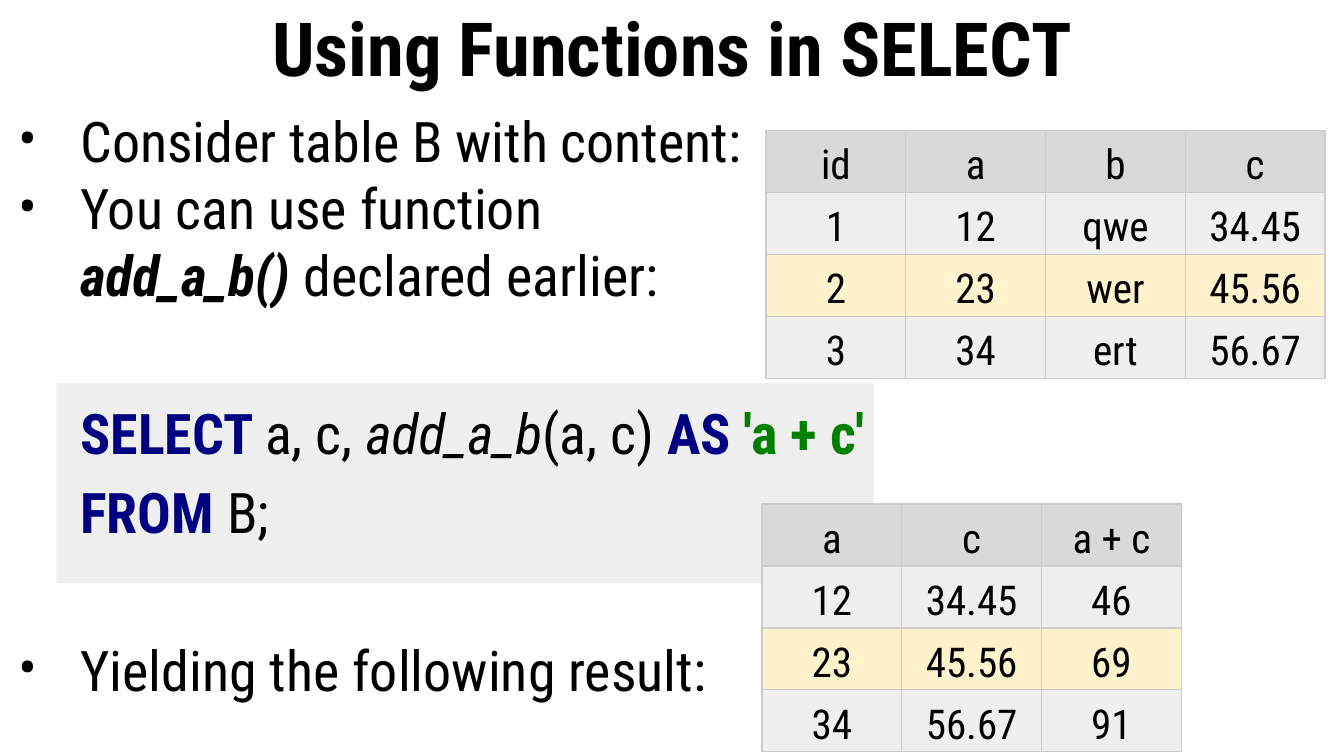
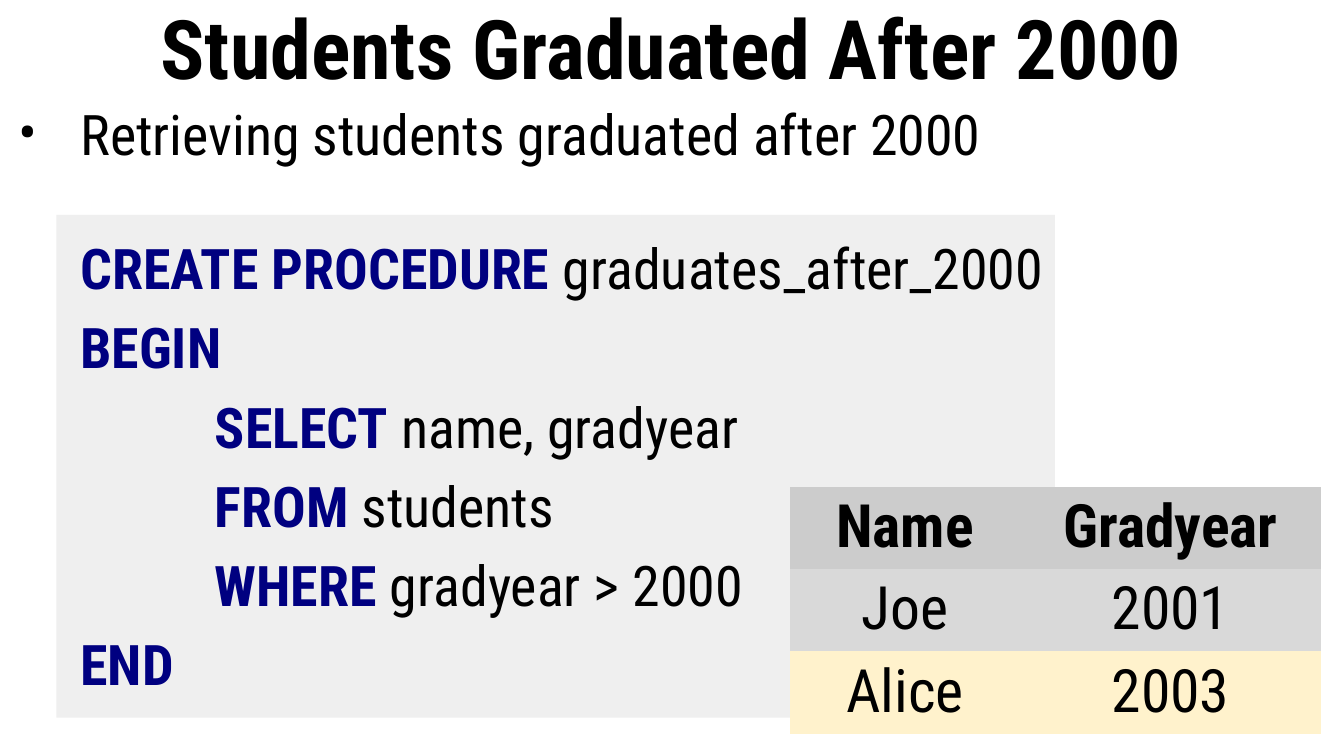
"""Build two slides about SQL functions and procedures."""
from dataclasses import dataclass

from lxml.etree import SubElement
from pptx import Presentation
from pptx.dml.color import RGBColor
from pptx.enum.shapes import MSO_SHAPE
from pptx.enum.text import MSO_ANCHOR, PP_ALIGN
from pptx.oxml.ns import qn
from pptx.util import Inches, Pt

COLORS = {
    "text": "000000",
    "keyword": "000080",
    "string": "008000",
    "code": "EFEFEF",
    "header": "D9D9D9",
    "dark_header": "CCCCCC",
    "highlight": "FFF2CC",
    "border": "CCCCCC",
}
FONT = "Roboto Condensed"
NO_STYLE = "{2D5ABB26-0587-4C30-8999-92F81FD0307C}"
WIDTH = 10
HEIGHT = WIDTH * 9 / 16
TITLE_HEIGHT = 0.69
SIDE_INSET = 0.1
BODY_SIZE = 30
TEXT_INDENT, NESTED_INDENT, BULLET_HANG = 0.5, 1.5, -0.46
GAP, BLOCK_GAP = 6.4, 48.5


@dataclass(frozen=True)
class Span:
    text: str
    color: str = "text"
    bold: bool = False
    italic: bool = False


@dataclass(frozen=True)
class Line:
    spans: tuple[Span, ...]
    bullet: bool = False
    before: float = GAP
    indent: float = TEXT_INDENT


@dataclass(frozen=True)
class Grid:
    left: float
    top: float
    columns: tuple[float, ...]
    row_height: float
    rows: tuple[tuple[str, ...], ...]
    fills: tuple[str, ...]
    size: float
    insets: tuple[float, float]
    anchor: MSO_ANCHOR
    line_spacing: float = 1.0
    bold_header: bool = False
    bordered: bool = False


@dataclass(frozen=True)
class Page:
    title: str
    title_size: float
    inset: float
    code_area: tuple[float, float, float, float]
    lines: tuple[Line, ...]
    grids: tuple[Grid, ...]


def keyword(text: str) -> Span:
    """Return a highlighted SQL keyword."""
    return Span(text, "keyword", bold=True)


def bullet(*spans: Span, before: float = GAP) -> Line:
    """Return a bulleted line."""
    return Line(spans, bullet=True, before=before)


def code(*spans: Span, before: float = GAP, indent: float = TEXT_INDENT) -> Line:
    """Return a line of code."""
    return Line(spans, before=before, indent=indent)


def data_grid(left: float, top: float, rows: tuple[tuple[str, ...], ...]) -> Grid:
    """Return a bordered grid whose third row is highlighted."""
    return Grid(left, top, (1.04,) * len(rows[0]), 0.22, rows,
                ("header", "code", "highlight", "code"), 22, (0.03, 0.02),
                MSO_ANCHOR.BOTTOM, line_spacing=1.15, bordered=True)


PAGES = (
    Page(
        "Using Functions in SELECT", 40, 0.1, (0.42, 2.85, 6.08, 1.49),
        (
            bullet(Span("Consider table B with content:")),
            bullet(Span("You can use function\n"),
                   Span("add_a_b()", bold=True, italic=True),
                   Span(" declared earlier:"), before=0),
            code(keyword("SELECT "), Span("a, c, "), Span("add_a_b", italic=True),
                 Span("(a, c) "), keyword("AS "), Span("'a + c'", "string", bold=True),
                 before=BLOCK_GAP),
            code(keyword("FROM "), Span("B;")),
            bullet(Span("Yielding the following result:"), before=BLOCK_GAP),
        ),
        (
            data_grid(5.7, 0.97, (
                ("id", "a", "b", "c"),
                ("1", "12", "qwe", "34.45"),
                ("2", "23", "wer", "45.56"),
                ("3", "34", "ert", "56.67"),
            )),
            data_grid(5.67, 3.75, (
                ("a", "c", "a + c"),
                ("12", "34.45", "46"),
                ("23", "45.56", "69"),
                ("34", "56.67", "91"),
            )),
        ),
    ),
    Page(
        "Students Graduated After 2000", 44, 0.05, (0.42, 1.6, 7.43, 3.74),
        (
            bullet(Span("Retrieving students graduated after 2000"), before=0),
            code(keyword("CREATE PROCEDURE "), Span("graduates_after_2000"), before=36),
            code(keyword("BEGIN")),
            code(keyword("SELECT"), Span(" name, gradyear"), indent=NESTED_INDENT),
            code(keyword("FROM "), Span("students"), indent=NESTED_INDENT),
            code(keyword("WHERE"), Span(" gradyear > 2000"), indent=NESTED_INDENT),
            code(keyword("END")),
        ),
        (
            Grid(5.88, 3.62, (1.71, 2.24), 0.3,
                 (("Name", "Gradyear"), ("Joe", "2001"), ("Alice", "2003")),
                 ("dark_header", "header", "highlight"), 32, (0.1, 0.04),
                 MSO_ANCHOR.TOP, bold_header=True),
        ),
    ),
)


def rgb(name: str) -> RGBColor:
    """Return the named colour."""
    return RGBColor.from_string(COLORS[name])


def write(para, text: str, *, size: float, color: str = "text",
          bold: bool = False, italic: bool = False) -> None:
    """Add formatted text, with a line break at each newline."""
    for number, part in enumerate(text.split("\n")):
        if number:
            para.add_line_break()
        if part:
            span = para.add_run()
            span.text = part
            font = span.font
            font.name, font.size = FONT, Pt(size)
            font.bold, font.italic = bold, italic
            font.color.rgb = rgb(color)


def add_text_box(slide, top: float, height: float, inset: float):
    """Add a full-width text box and return its frame."""
    box = slide.shapes.add_textbox(0, Inches(top), Inches(WIDTH), Inches(height))
    frame = box.text_frame
    frame.word_wrap = True
    frame.margin_left = frame.margin_right = Inches(SIDE_INSET)
    frame.margin_top = frame.margin_bottom = Inches(inset)
    return frame


def add_title(slide, page: Page) -> None:
    """Add the centred title."""
    frame = add_text_box(slide, 0, TITLE_HEIGHT, page.inset)
    frame.vertical_anchor = MSO_ANCHOR.MIDDLE
    para = frame.paragraphs[0]
    para.alignment = PP_ALIGN.CENTER
    write(para, page.title, size=page.title_size, bold=True)


def add_body(slide, page: Page) -> None:
    """Add the bullets and code lines."""
    frame = add_text_box(slide, TITLE_HEIGHT, HEIGHT - TITLE_HEIGHT, page.inset)
    for number, line in enumerate(page.lines):
        para = frame.add_paragraph() if number else frame.paragraphs[0]
        para.space_before = Pt(line.before)
        properties = para._p.get_or_add_pPr()
        properties.set("marL", str(Inches(line.indent)))
        properties.set("indent", str(Inches(BULLET_HANG if line.bullet else 0)))
        if line.bullet:
            color = SubElement(properties, qn("a:buClr"))
            SubElement(color, qn("a:srgbClr"), val=COLORS["text"])
            SubElement(properties, qn("a:buFont"), typeface=FONT)
            SubElement(properties, qn("a:buChar"), char="•")
        else:
            SubElement(properties, qn("a:buNone"))
        for span in line.spans:
            write(para, span.text, size=BODY_SIZE, color=span.color,
                  bold=span.bold, italic=span.italic)


def add_code_area(slide, area: tuple[float, float, float, float]) -> None:
    """Add the grey area behind the code."""
    shape = slide.shapes.add_shape(MSO_SHAPE.RECTANGLE, *map(Inches, area))
    shape.shadow.inherit = False
    shape.fill.solid()
    shape.fill.fore_color.rgb = rgb("code")
    shape.line.fill.background()


def add_borders(cell) -> None:
    """Draw thin lines on all four sides of a cell."""
    properties = cell._tc.get_or_add_tcPr()
    for side in ("lnL", "lnR", "lnT", "lnB"):
        line = SubElement(properties, qn(f"a:{side}"), w=str(Pt(0.75)))
        fill = SubElement(line, qn("a:solidFill"))
        SubElement(fill, qn("a:srgbClr"), val=COLORS["border"])


def add_grid(slide, grid: Grid) -> None:
    """Add a table with one fill per row."""
    frame = slide.shapes.add_table(
        len(grid.rows), len(grid.columns), Inches(grid.left), Inches(grid.top),
        Inches(sum(grid.columns)), Inches(grid.row_height * len(grid.rows)))
    table = frame.table
    table.first_row = table.horz_banding = False
    table._tbl.tblPr.find(qn("a:tableStyleId")).text = NO_STYLE
    for column, width in zip(table.columns, grid.columns):
        column.width = Inches(width)
    side, edge = map(Inches, grid.insets)
    for row_number, (texts, fill) in enumerate(zip(grid.rows, grid.fills)):
        table.rows[row_number].height = Inches(grid.row_height)
        for column_number, text in enumerate(texts):
            cell = table.cell(row_number, column_number)
            cell.margin_left = cell.margin_right = side
            cell.margin_top = cell.margin_bottom = edge
            cell.vertical_anchor = grid.anchor
            if grid.bordered:
                add_borders(cell)
            cell.fill.solid()
            cell.fill.fore_color.rgb = rgb(fill)
            para = cell.text_frame.paragraphs[0]
            para.alignment = PP_ALIGN.CENTER
            para.line_spacing = grid.line_spacing
            write(para, text, size=grid.size,
                  bold=grid.bold_header and row_number == 0)


def main() -> None:
    """Build and save the deck."""
    deck = Presentation()
    deck.slide_width, deck.slide_height = Inches(WIDTH), Inches(HEIGHT)
    for page in PAGES:
        slide = deck.slides.add_slide(deck.slide_layouts[6])
        add_code_area(slide, page.code_area)
        add_title(slide, page)
        add_body(slide, page)
        for grid in page.grids:
            add_grid(slide, grid)
    deck.save("out.pptx")


if __name__ == "__main__":
    main()
